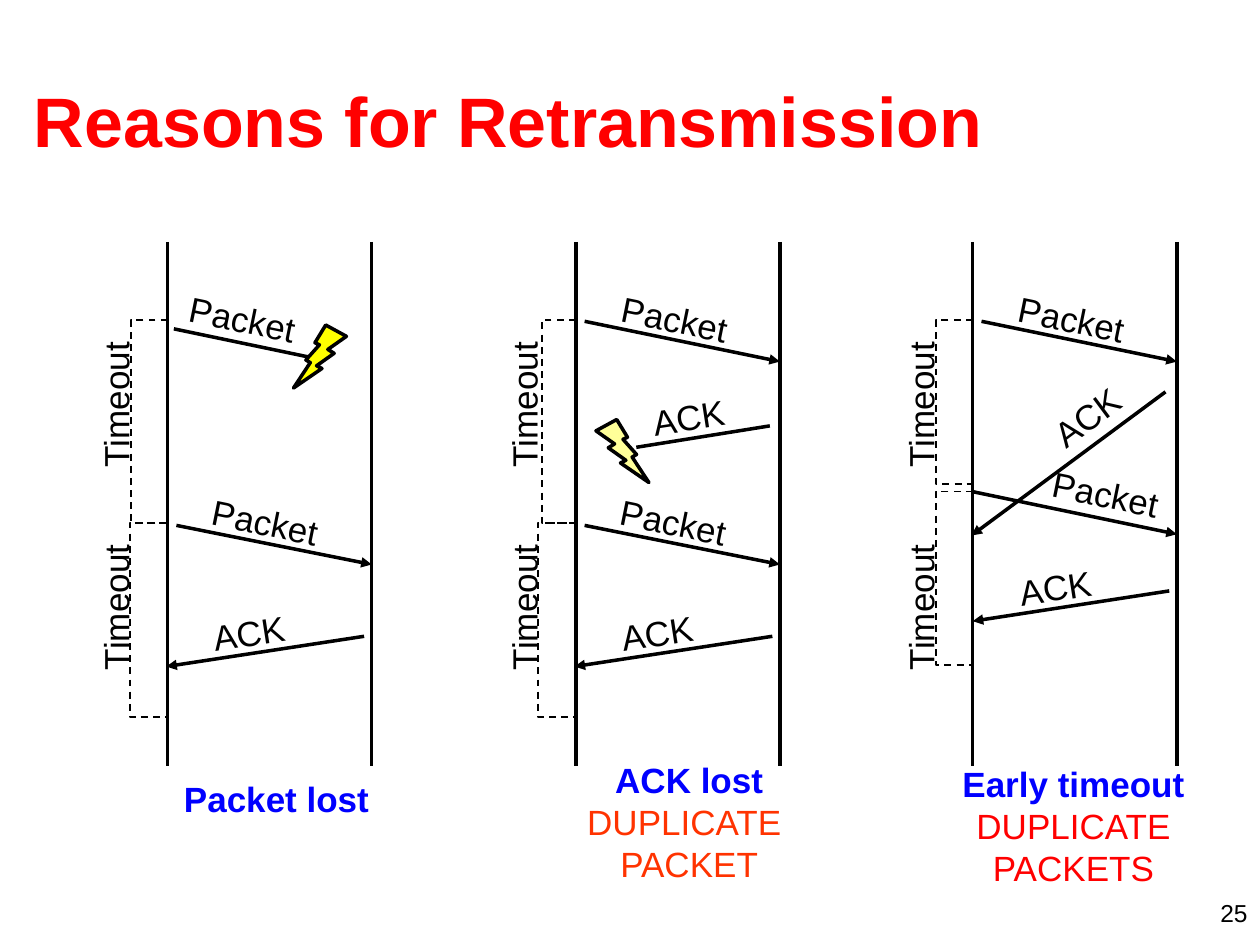
from dataclasses import dataclass

from lxml.etree import SubElement
from pptx import Presentation
from pptx.dml.color import RGBColor as Rgb
from pptx.enum.dml import MSO_LINE as Dash
from pptx.enum.shapes import MSO_CONNECTOR as Conn, MSO_SHAPE as Kind
from pptx.enum.text import MSO_ANCHOR as Anchor, PP_ALIGN as Align
from pptx.oxml.ns import qn
from pptx.util import Inches, Pt


@dataclass(frozen=True)
class Theme:
    font: str = "Arial"
    black: str = "000000"
    red: str = "FF0000"
    blue: str = "0000FF"
    orange: str = "FF3300"
    yellow: str = "FFFF00"
    pale: str = "FFFF99"
    title: int = 40
    body: int = 20
    small: int = 14
    thick: float = 2
    thin: float = 1


class Board:
    def __init__(self, slide, theme):
        self.slide = slide
        self.theme = theme

    def pen(self, line, width):
        line.color.rgb = Rgb.from_string(self.theme.black)
        line.width = Pt(width)

    def text(self, box, paras, size=None, align=Align.CENTER,
             anchor=Anchor.MIDDLE, wrap=False, turn=0):
        """Each paragraph is (text, colour, bold); a newline breaks the line."""
        shape = self.slide.shapes.add_textbox(*map(Inches, box))
        shape.rotation = turn
        frame = shape.text_frame
        frame.word_wrap = wrap
        frame.vertical_anchor = anchor
        for i, (words, color, bold) in enumerate(paras):
            para = frame.add_paragraph() if i else frame.paragraphs[0]
            para.alignment = align
            for j, part in enumerate(words.split("\n")):
                if j:
                    para.add_line_break()
                run = para.add_run()
                run.text = part
                font = run.font
                font.name = self.theme.font
                font.size = Pt(size or self.theme.body)
                font.bold = bold
                font.color.rgb = Rgb.from_string(color)

    def label(self, words, left, top, width, turn):
        self.text((left, top, width, 0.44), [(words, self.theme.black, False)],
                  turn=turn)

    def line(self, start, end, arrow=False):
        link = self.slide.shapes.add_connector(
            Conn.STRAIGHT, *map(Inches, (*start, *end)))
        self.pen(link.line, self.theme.thick)
        props = link.line._get_or_add_ln()
        if arrow:
            SubElement(props, qn("a:tailEnd"), type="triangle")
        SubElement(props.getparent(), qn("a:effectLst"))

    def bracket(self, x, top, bottom, depth):
        """Dashed bracket, open to the right."""
        path = [(x - depth, top), (x - depth, bottom), (x, bottom)]
        pen = self.slide.shapes.build_freeform(Inches(x), Inches(top))
        pen.add_line_segments(
            [(Inches(a), Inches(b)) for a, b in path], close=False)
        shape = pen.convert_to_shape()
        shape.shadow.inherit = False
        shape.fill.background()
        self.pen(shape.line, self.theme.thin)
        shape.line.dash_style = Dash.DASH

    def bolt(self, left, top, color, flip=False):
        shape = self.slide.shapes.add_shape(
            Kind.LIGHTNING_BOLT, *map(Inches, (left, top, 0.42, 0.5)))
        shape.shadow.inherit = False
        shape.fill.solid()
        shape.fill.fore_color.rgb = Rgb.from_string(color)
        self.pen(shape.line, self.theme.thick)
        if flip:
            shape._element.spPr.find(qn("a:xfrm")).set("flipH", "1")


LANES = (1.33, 4.57, 7.72)
GAP = 1.62
WIDTH = {"Packet": 1.05, "ACK": 0.77}
DOWN, UP, STEEP = 11.5, -8.8, -36.6

# word, start, end, label corner, turn, arrow; x runs from the lane's left line
RESENT = [
    ("Packet", (0.07, 4.17), (1.62, 4.48), (0.25, 3.92), DOWN, True),
    ("ACK", (1.56, 5.05), (-0.01, 5.29), (0.26, 4.8), UP, True),
]
SENT = ("Packet", (0.07, 2.55), (1.62, 2.87), (0.26, 2.31), DOWN, True)
SENDS = (
    [("Packet", (0.05, 2.61), (1.2, 2.85), (0.07, 2.31), DOWN, False)] + RESENT,
    [SENT, ("ACK", (1.54, 3.38), (0.48, 3.55), (0.51, 3.09), UP, False)] + RESENT,
    [SENT,
     ("ACK", (1.53, 3.11), (-0.01, 4.25), (0.52, 3.09), STEEP, True),
     ("Packet", (-0.01, 3.9), (1.62, 4.24), (0.53, 3.7), DOWN, True),
     ("ACK", (1.56, 4.69), (0, 4.93), (0.27, 4.44), UP, True)],
)
# top, bottom, depth of each wait
WAITS = (
    [(2.54, 4.15, 0.29), (4.15, 5.69, 0.3)],
    [(2.54, 4.15, 0.27), (4.15, 5.69, 0.3)],
    [(2.54, 3.84, 0.29), (3.9, 5.28, 0.29)],
)


def main():
    deck = Presentation()
    deck.slide_width, deck.slide_height = Inches(10), Inches(7.5)
    theme = Theme()
    board = Board(deck.slides.add_slide(deck.slide_layouts[6]), theme)

    board.text((0.17, 0.32, 9.58, 1.25),
               [("Reasons for Retransmission", theme.red, True)],
               theme.title, Align.LEFT, wrap=True)
    board.text((7.67, 7.08, 2.33, 0.25), [("25", theme.black, False)],
               theme.small, Align.RIGHT, Anchor.TOP, wrap=True)

    for x, sends, waits in zip(LANES, SENDS, WAITS):
        for side in (x, x + GAP):
            board.line((side, 1.92), (side, 6.08))
        for word, start, end, spot, turn, arrow in sends:
            board.line((x + start[0], start[1]), (x + end[0], end[1]), arrow)
            board.label(word, x + spot[0], spot[1], WIDTH[word], turn)
        for wait, top in zip(waits, (2.99, 4.6)):
            board.bracket(x, *wait)
            board.label("Timeout", x - 1.08, top, 1.33, 270)

    board.bolt(2.33, 2.58, theme.yellow, flip=True)
    board.bolt(4.73, 3.33, theme.pale)

    board.text((1.36, 6.12, 1.67, 0.44), [("Packet lost", theme.blue, True)])
    board.text((4.55, 5.97, 1.84, 1.1),
               [("ACK lost", theme.blue, True),
                ("DUPLICATE \nPACKET", theme.orange, False)])
    board.text((7.54, 6, 1.96, 1.1),
               [("Early timeout", theme.blue, True),
                ("DUPLICATE\nPACKETS", theme.red, False)])
    deck.save("out.pptx")


if __name__ == "__main__":
    main()
